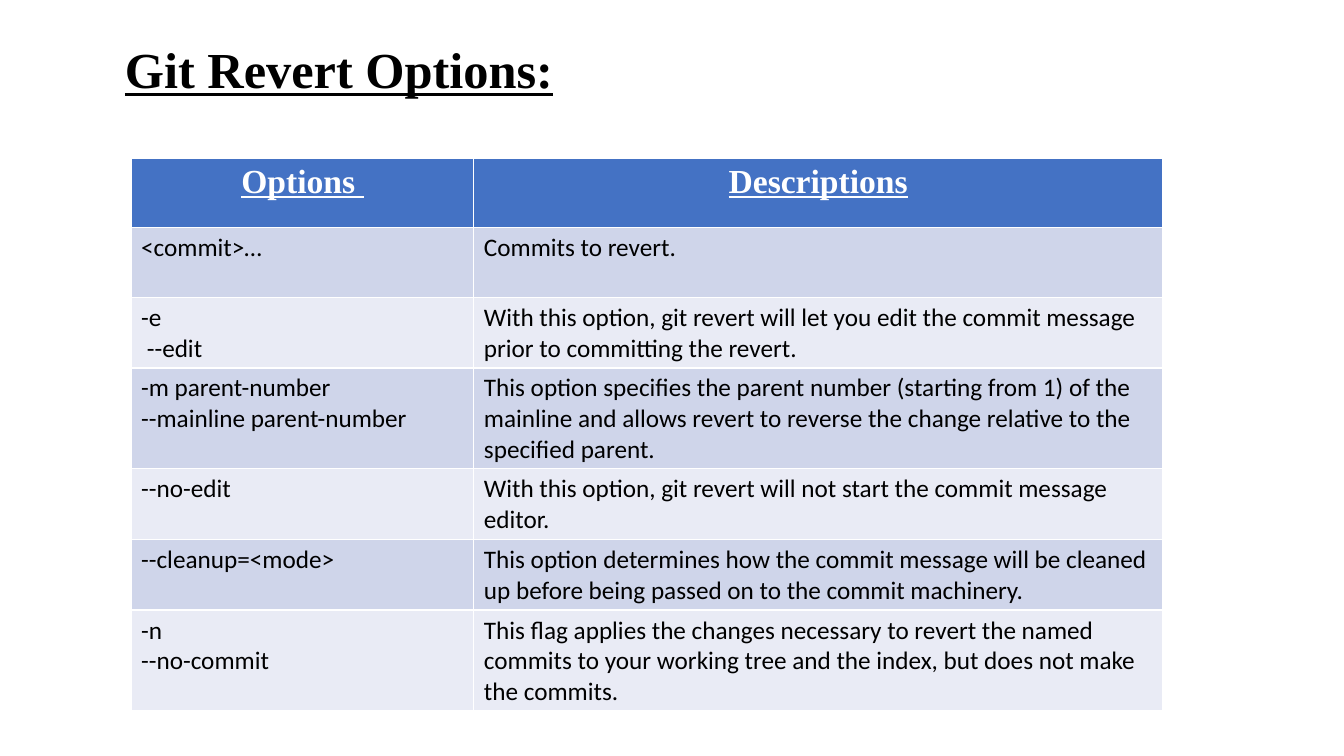
"""Build the slide that lists the options of git revert in a table."""
from dataclasses import dataclass

from pptx import Presentation
from pptx.dml.color import RGBColor
from pptx.enum.text import MSO_AUTO_SIZE, PP_ALIGN
from pptx.slide import Slide
from pptx.table import _Cell
from pptx.text.text import TextFrame
from pptx.util import Emu, Pt

CENTER = PP_ALIGN.CENTER
LEFT = PP_ALIGN.LEFT
FIT_SHAPE = MSO_AUTO_SIZE.SHAPE_TO_FIT_TEXT
EMU_PER_PX = 9144


@dataclass(frozen=True)
class TextStyle:
    font: str
    size: int
    color: str
    heading: bool = False
    alignment: PP_ALIGN = LEFT


@dataclass(frozen=True)
class Theme:
    title: TextStyle = TextStyle("Times New Roman", 36, "000000", True)
    header: TextStyle = TextStyle("Times New Roman", 24, "FFFFFF", True, CENTER)
    body: TextStyle = TextStyle("Calibri", 18, "000000")
    header_fill: str = "4472C4"
    band_fills: tuple[str, str] = ("CFD5EA", "E9EBF5")


@dataclass(frozen=True)
class Box:
    left: int
    top: int
    width: int
    height: int

    def emu(self) -> tuple[Emu, Emu, Emu, Emu]:
        return px(self.left), px(self.top), px(self.width), px(self.height)


@dataclass(frozen=True)
class OptionRow:
    option: str
    description: str


THEME = Theme()
TITLE_BOX = Box(114, 33, 668, 71)
COLUMN_WIDTHS = (340, 683)
ROW_HEIGHT = 69
HEADER = OptionRow("Options ", "Descriptions")
OPTIONS = (
    OptionRow("<commit>…", "Commits to revert."),
    OptionRow(
        "-e\n --edit",
        "With this option, git revert will let you edit the commit message "
        "prior to committing the revert.",
    ),
    OptionRow(
        "-m parent-number\n--mainline parent-number",
        "This option specifies the parent number (starting from 1) of the mainline "
        "and allows revert to reverse the change relative to the specified parent.",
    ),
    OptionRow(
        "--no-edit",
        "With this option, git revert will not start the commit message editor.",
    ),
    OptionRow(
        "--cleanup=<mode>",
        "This option determines how the commit message will be cleaned up "
        "before being passed on to the commit machinery.",
    ),
    OptionRow(
        "-n\n--no-commit",
        "This flag applies the changes necessary to revert the named commits to your "
        "working tree and the index, but does not make the commits.",
    ),
)
TABLE_BOX = Box(130, 157, sum(COLUMN_WIDTHS), ROW_HEIGHT * (len(OPTIONS) + 1))


def px(length: int) -> Emu:
    return Emu(length * EMU_PER_PX)


def write_text(text_frame: TextFrame, text: str, style: TextStyle) -> None:
    text_frame.text = text
    for paragraph in text_frame.paragraphs:
        paragraph.alignment = style.alignment
        for run in paragraph.runs:
            run.font.name = style.font
            run.font.size = Pt(style.size)
            run.font.bold = style.heading
            run.font.underline = style.heading
            run.font.color.rgb = RGBColor.from_string(style.color)


def draw_title(slide: Slide, text: str) -> None:
    text_frame = slide.shapes.add_textbox(*TITLE_BOX.emu()).text_frame
    text_frame.word_wrap = True
    text_frame.auto_size = FIT_SHAPE
    write_text(text_frame, text, THEME.title)


def fill_cell(cell: _Cell, text: str, style: TextStyle, fill: str) -> None:
    write_text(cell.text_frame, text, style)
    cell.fill.solid()
    cell.fill.fore_color.rgb = RGBColor.from_string(fill)


def draw_options_table(slide: Slide) -> None:
    rows = (HEADER, *OPTIONS)
    table = slide.shapes.add_table(
        len(rows), len(COLUMN_WIDTHS), *TABLE_BOX.emu()
    ).table
    for column, width in zip(table.columns, COLUMN_WIDTHS):
        column.width = px(width)
    for index, row in enumerate(rows):
        table.rows[index].height = px(ROW_HEIGHT)
        is_header = index == 0
        style = THEME.header if is_header else THEME.body
        fill = THEME.header_fill if is_header else THEME.band_fills[(index - 1) % 2]
        fill_cell(table.cell(index, 0), row.option, style, fill)
        fill_cell(table.cell(index, 1), row.description, style, fill)


def main() -> None:
    presentation = Presentation()
    presentation.slide_width = px(1333)
    presentation.slide_height = px(750)
    slide = presentation.slides.add_slide(presentation.slide_layouts[6])
    draw_title(slide, "Git Revert Options:")
    draw_options_table(slide)
    presentation.save("out.pptx")


if __name__ == "__main__":
    main()
